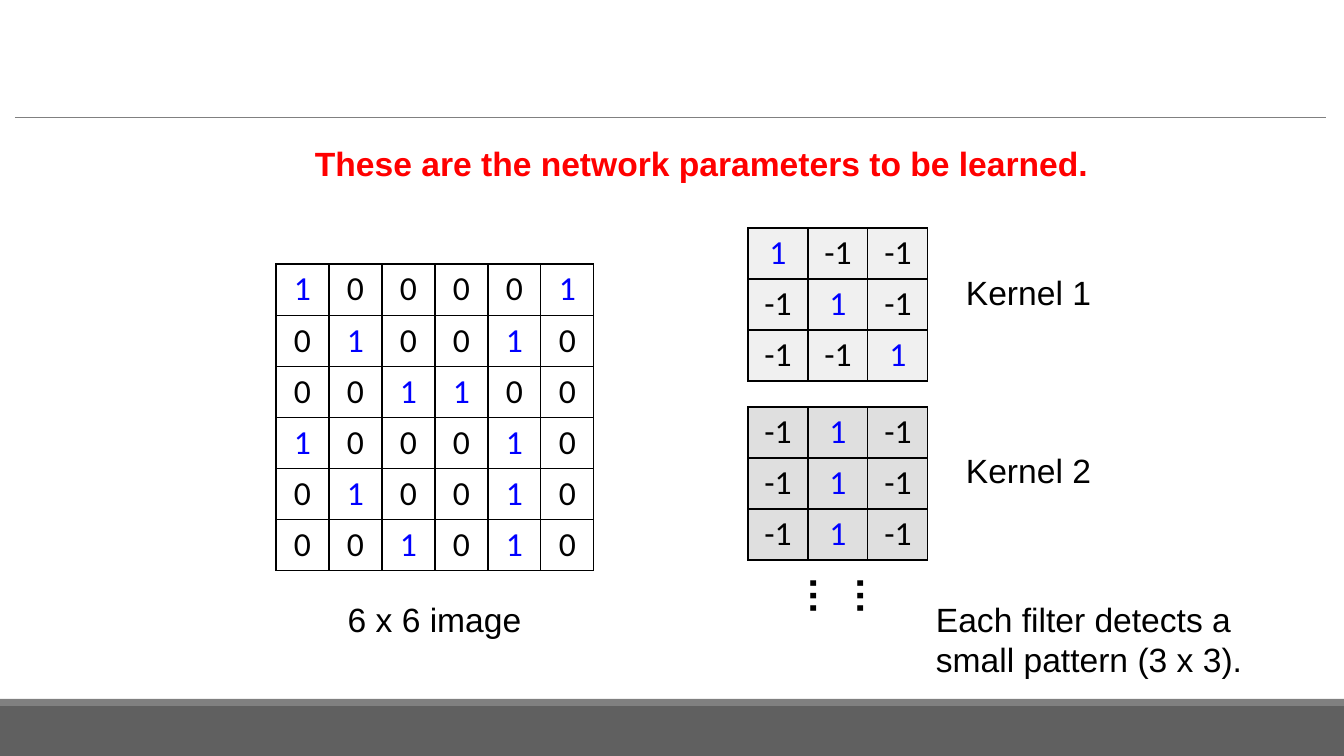
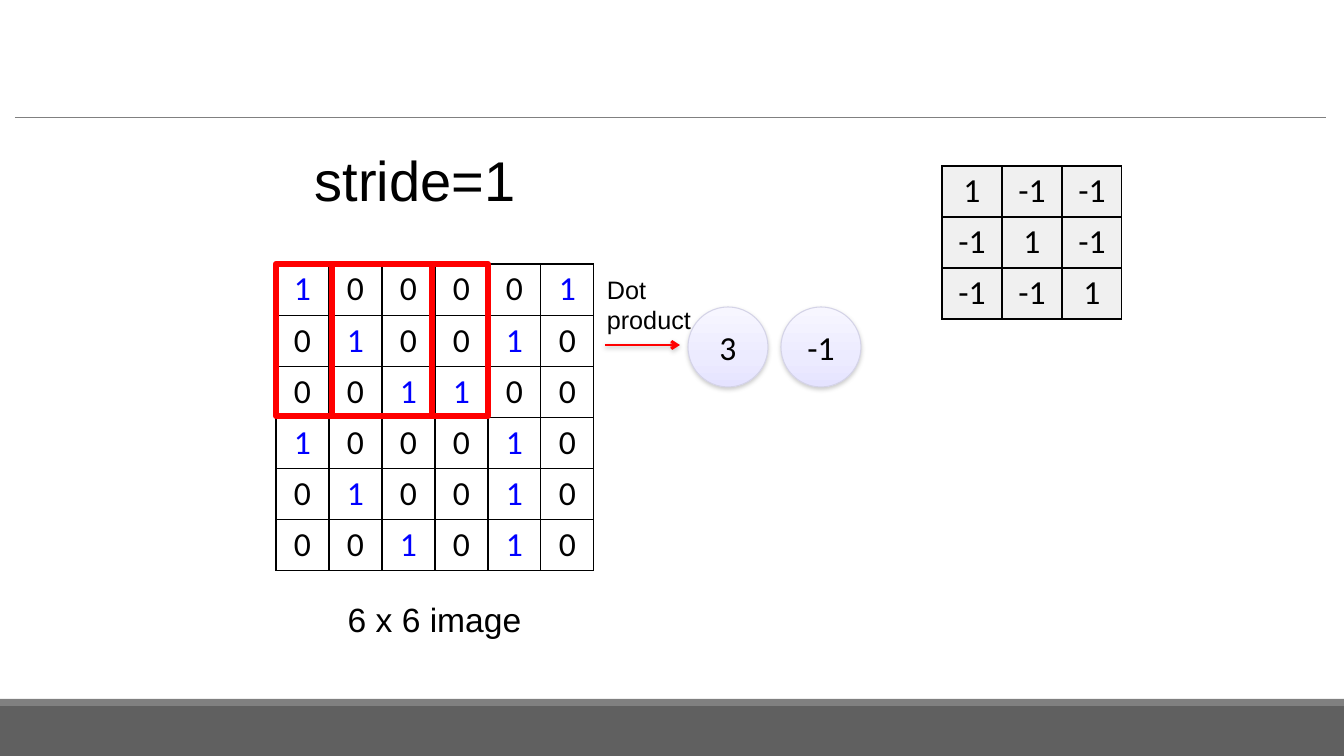
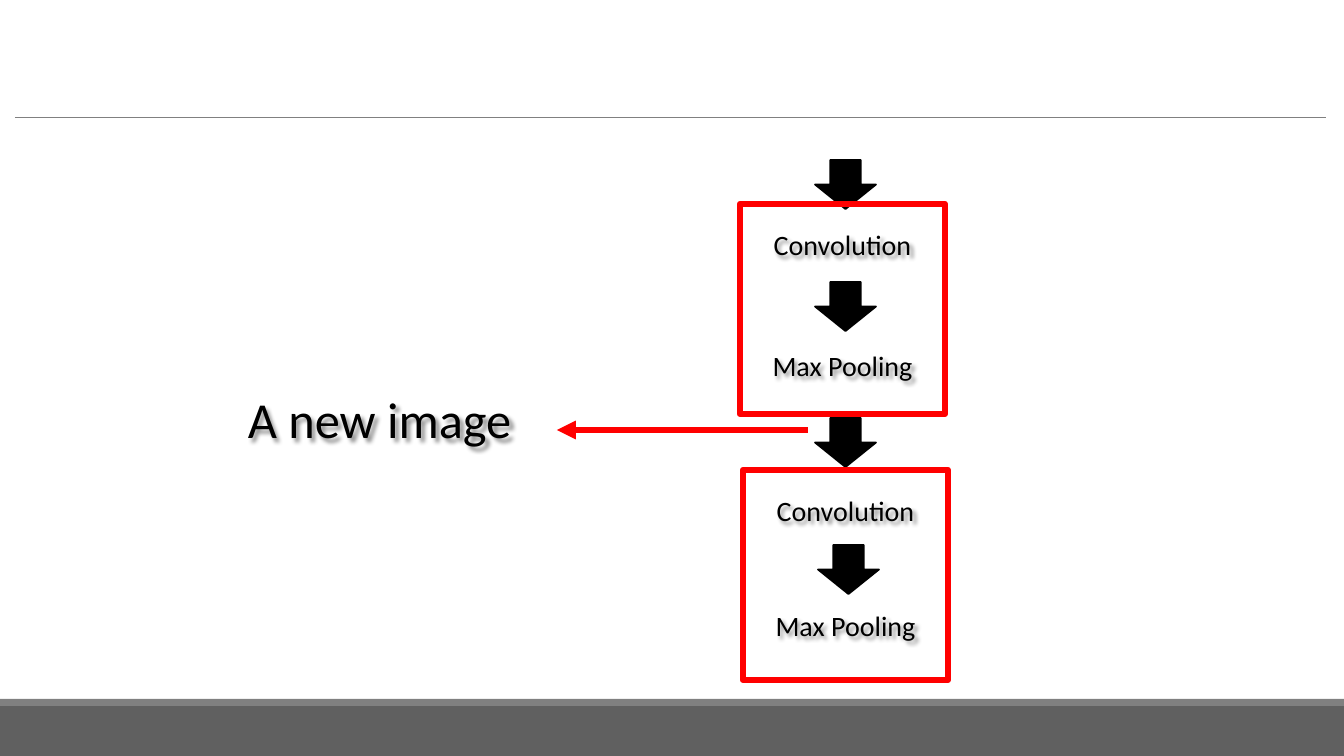
from copy import deepcopy

from lxml import etree
from pptx import Presentation
from pptx.dml.color import RGBColor
from pptx.enum.shapes import MSO_CONNECTOR, MSO_SHAPE
from pptx.enum.text import MSO_ANCHOR, MSO_AUTO_SIZE, PP_ALIGN
from pptx.oxml.ns import qn
from pptx.util import Inches, Pt

SCALE = Inches(1) / 100.8
WIDTH, HEIGHT = 1344, 756

BLACK = RGBColor(0x00, 0x00, 0x00)
RED = RGBColor(0xFF, 0x00, 0x00)
BLUE = RGBColor(0x00, 0x00, 0xFF)
DARK_GREY = RGBColor(0x60, 0x60, 0x60)
GREY = RGBColor(0x80, 0x80, 0x80)
KERNEL_1_FILL = RGBColor(0xF0, 0xF0, 0xF0)
KERNEL_2_FILL = RGBColor(0xDF, 0xDF, 0xDF)
CIRCLE_LINE = RGBColor(0xD4, 0xD3, 0xE7)
CIRCLE_STOPS = [(0, RGBColor(0xF7, 0xF6, 0xFF)),
                (0.65, RGBColor(0xEC, 0xEB, 0xFF)),
                (1, RGBColor(0xE5, 0xE3, 0xFF))]

RECT, OVAL, DOWN = MSO_SHAPE.RECTANGLE, MSO_SHAPE.OVAL, MSO_SHAPE.DOWN_ARROW
STRAIGHT = MSO_CONNECTOR.STRAIGHT
LEFT, CENTER = PP_ALIGN.LEFT, PP_ALIGN.CENTER
TOP, MIDDLE = MSO_ANCHOR.TOP, MSO_ANCHOR.MIDDLE
GROW, FIXED = MSO_AUTO_SIZE.SHAPE_TO_FIT_TEXT, MSO_AUTO_SIZE.NONE

# Shadows: colour, opacity %, blur pt, distance pt, angle
SOFT_SHADOW = (GREY, 38, 3.1, 1.6, 90)
TEXT_SHADOW = (BLACK, 43, 3, 3, 45)

IMAGE = ["100001", "010010", "001100", "100010", "010010", "001010"]
DIAGONAL = [[1 if row == col else -1 for col in range(3)] for row in range(3)]
VERTICAL = [[-1, 1, -1]] * 3


def px(*lengths):
    return [round(length * SCALE) for length in lengths]


def set_effects(shape, shadow=None):
    """Replace the theme's effects by one outer shadow or by none."""
    effects = etree.SubElement(shape._element.spPr, qn("a:effectLst"))
    if shadow:
        color, opacity, blur, distance, angle = shadow
        outer = etree.SubElement(effects, qn("a:outerShdw"), blurRad=str(Pt(blur)),
                                 dist=str(Pt(distance)), dir=str(angle * 60000),
                                 algn="ctr", rotWithShape="0")
        rgb = etree.SubElement(outer, qn("a:srgbClr"), val=str(color))
        etree.SubElement(rgb, qn("a:alpha"), val=str(opacity * 1000))


def write(tf, text, size=24, color=BLACK, font="Arial", bold=False, align=LEFT):
    for i, line in enumerate(text.split("\n")):
        p = tf.paragraphs[0] if i == 0 else tf.add_paragraph()
        p.alignment = align
        r = p.add_run()
        r.text = line
        r.font.color.rgb = color
        for name, value in {"size": Pt(size), "name": font, "bold": bold}.items():
            setattr(r.font, name, value)


def add_text(s, box, text, wrap=True, grow=GROW, anchor=TOP, shadow=None, **style):
    sp = s.shapes.add_textbox(*px(*box))
    tf = sp.text_frame
    frame = {"word_wrap": wrap, "auto_size": grow, "vertical_anchor": anchor}
    for name, value in frame.items():
        setattr(tf, name, value)
    write(tf, text, **style)
    if shadow:
        set_effects(sp, shadow)
    return sp


def add_shape(s, kind, box, fill=None, line=None, width=1, shadow=None):
    sp = s.shapes.add_shape(kind, *px(*box))
    for part, color in ((sp.fill, fill), (sp.line.fill, line)):
        if color is None:
            part.background()
        else:
            part.solid()
            part.fore_color.rgb = color
    if line is not None:
        sp.line.width = Pt(width)
    set_effects(sp, shadow)
    return sp


def add_line(s, ends, color, width, head=None, shadow=None):
    sp = s.shapes.add_connector(STRAIGHT, *px(*ends))
    sp.line.color.rgb = color
    sp.line.width = Pt(width)
    if head:
        etree.SubElement(sp.line._ln, qn("a:tailEnd"), type=head)
    set_effects(sp, shadow)


def add_border(cell):
    tc_pr = cell._tc.get_or_add_tcPr()
    for i, side in enumerate(("a:lnL", "a:lnR", "a:lnT", "a:lnB")):
        ln = etree.Element(qn(side), w=str(Pt(1)))
        fill = etree.SubElement(ln, qn("a:solidFill"))
        etree.SubElement(fill, qn("a:srgbClr"), val=str(BLACK))
        tc_pr.insert(i, ln)


def add_matrix(s, x, y, values, col_width, fill=None, one_color=BLUE):
    rows, cols, row_height = len(values), len(values[0]), 51
    box = px(x, y, cols * col_width, rows * row_height)
    table = s.shapes.add_table(rows, cols, *box).table
    table.first_row = table.horz_banding = False
    for i, row in enumerate(values):
        for j, value in enumerate(row):
            cell = table.cell(i, j)
            if fill is None:
                cell.fill.background()
            else:
                cell.fill.solid()
                cell.fill.fore_color.rgb = fill
            add_border(cell)
            color = one_color if str(value) == "1" else BLACK
            write(cell.text_frame, str(value), color=color, font="Calibri", align=CENTER)


def add_image_matrix(s):
    add_matrix(s, 276, 264, IMAGE, 53)
    add_text(s, (305, 594, 259, 50), "6 x 6 image", align=CENTER)


def add_result(s, x, value):
    sp = add_shape(s, OVAL, (x, 307, 80, 80), line=CIRCLE_LINE, width=0.75,
                   shadow=SOFT_SHADOW)
    sp.fill.gradient()
    sp.fill.gradient_angle = 270
    stops = sp._element.spPr.find(".//" + qn("a:gsLst"))
    stops.append(deepcopy(stops[-1]))
    for stop, (position, color) in zip(sp.fill.gradient_stops, CIRCLE_STOPS):
        stop.position = position
        stop.color.rgb = color
    sp.text_frame.vertical_anchor = MIDDLE
    write(sp.text_frame, value, font="Calibri", align=CENTER)


def add_red_frame(s, *box):
    add_shape(s, RECT, box, line=RED, width=4.5)


def add_down_arrow(s, x, y):
    add_shape(s, DOWN, (x, y, 61, 49), BLACK, BLACK, 1.25)


def add_block(s, x, y, arrow_drop, pooling_drop):
    """A framed convolution and pooling stage."""
    for text, drop in (("Convolution", 9), ("Max Pooling", pooling_drop)):
        add_text(s, (x + 7, y + drop, 191, 62), text, grow=FIXED, anchor=MIDDLE,
                 shadow=TEXT_SHADOW, size=20, font="Calibri", align=CENTER)
    add_down_arrow(s, x + 75, y + arrow_drop)
    add_red_frame(s, x, y, 205, 210)


def new_slide(prs):
    """A blank slide with the shared rule and footer bands."""
    s = prs.slides.add_slide(prs.slide_layouts[6])
    add_shape(s, RECT, (0, 706, WIDTH, 50), DARK_GREY)
    add_shape(s, RECT, (0, 699, WIDTH, 7), GREY)
    add_line(s, (15, 117, 1326, 117), GREY, 0.5)
    return s


def kernels_slide(prs):
    s = new_slide(prs)
    add_image_matrix(s)
    kernels = [("Kernel 1", DIAGONAL, KERNEL_1_FILL, 228, 267),
               ("Kernel 2", VERTICAL, KERNEL_2_FILL, 407, 445)]
    for label, values, fill, y, label_y in kernels:
        add_matrix(s, 748, y, values, 60, fill)
        add_text(s, (949, label_y, 159, 51), label, align=CENTER)
    dots = add_text(s, (810, 553, 78, 105), "……", size=28, bold=True)
    dots.rotation = 90
    add_text(s, (305, 138, 854, 50), "These are the network parameters to be learned.",
             color=RED, bold=True)
    add_text(s, (926, 594, 392, 92), "Each filter detects a small pattern (3 x 3).")


def stride_slide(prs):
    s = new_slide(prs)
    add_image_matrix(s)
    add_matrix(s, 942, 166, DIAGONAL, 60, KERNEL_1_FILL, one_color=BLACK)
    # Two window positions and their dot products
    for frame_x, circle_x, value in ((276, 688, "3"), (332, 781, "-1")):
        add_red_frame(s, frame_x, 264, 156, 152)
        add_result(s, circle_x, value)
    add_text(s, (305, 141, 223, 78), "stride=1", wrap=False, size=40)
    add_line(s, (605, 345, 680, 345), RED, 2, "arrow", SOFT_SHADOW)
    add_text(s, (597, 269, 105, 72), "Dot\nproduct", wrap=False, size=18)


def pooling_slide(prs):
    s = new_slide(prs)
    for y in (160, 418):
        add_down_arrow(s, 815, y)
    add_block(s, 740, 204, 78, 130)
    add_block(s, 743, 470, 75, 124)
    add_text(s, (238, 383, 321, 72), "A new image", shadow=TEXT_SHADOW, size=36,
             font="Calibri")
    add_line(s, (808, 430, 557, 430), RED, 4.5, "triangle")


def main():
    prs = Presentation()
    prs.slide_width, prs.slide_height = px(WIDTH, HEIGHT)
    for build in (kernels_slide, stride_slide, pooling_slide):
        build(prs)
    prs.save("out.pptx")


main()
